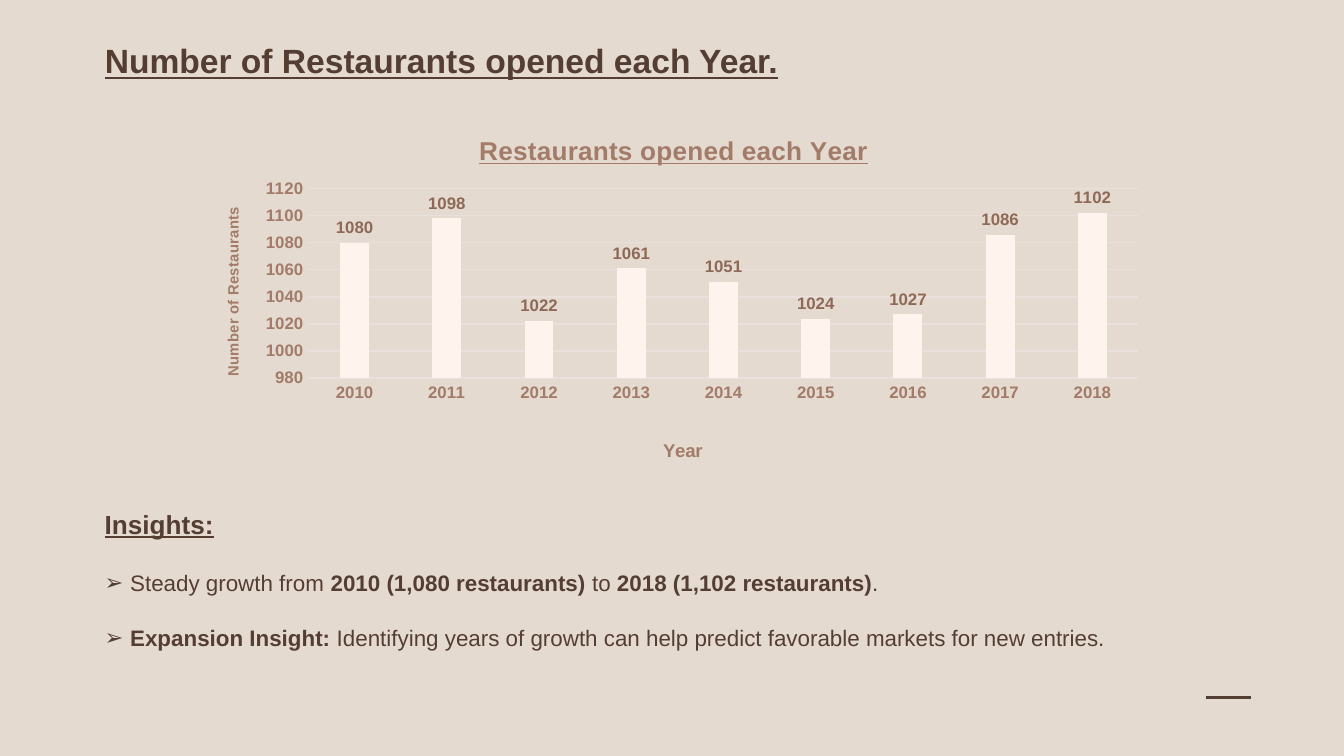
from lxml.etree import SubElement
from pptx import Presentation
from pptx.chart.data import CategoryChartData
from pptx.dml.color import RGBColor
from pptx.enum.chart import XL_CHART_TYPE, XL_LABEL_POSITION, XL_TICK_MARK
from pptx.enum.shapes import MSO_CONNECTOR
from pptx.enum.text import MSO_ANCHOR, PP_ALIGN
from pptx.oxml import parse_xml
from pptx.oxml.ns import nsdecls, qn
from pptx.util import Inches, Pt

WIDE = 10
HIGH = WIDE * 9 / 16
LEFT = 0.68
SAND, DARK, CLAY, RUST, CREAM, PALE = (
    "E5DACF", "543E34", "A27B69", "8E6958", "FEF3ED", "EAE0DC")
COUNTS = {2010: 1080, 2011: 1098, 2012: 1022, 2013: 1061, 2014: 1051,
          2015: 1024, 2016: 1027, 2017: 1086, 2018: 1102}
# Each point is a list of (text, bold) runs.
POINTS = [
    [("Steady growth from ", False), ("2010 (1,080 restaurants)", True),
     (" to ", False), ("2018 (1,102 restaurants)", True), (".", False)],
    [("Expansion Insight:", True),
     (" Identifying years of growth can help predict favorable markets"
      " for new entries.", False)],
]


def paint(color, code):
    color.rgb = RGBColor.from_string(code)


def fill(part, code):
    part.fill.solid()
    paint(part.fill.fore_color, code)


def stroke(line, code, width):
    paint(line.color, code)
    line.width = Pt(width)


def style(font, size, code=DARK, bold=None, under=None):
    font.name, font.size = "Arial", Pt(size)
    font.bold, font.underline = bold, under
    paint(font.color, code)


def place(host, index, inner=False, **shares):
    """Fix a chart part at shares of the chart's size."""
    for old in host.findall(qn("c:layout")):
        host.remove(old)
    layout = parse_xml(f"<c:layout {nsdecls('c')}><c:manualLayout/></c:layout>")
    marks = [("layoutTarget", "inner")] if inner else []
    marks += [("xMode", "edge"), ("yMode", "edge"), *shares.items()]
    for tag, value in marks:
        SubElement(layout[0], qn(f"c:{tag}")).set("val", str(value))
    host.insert(index, layout)


def add_name(title, text, size, x, y, under=None):
    """Write and place the title of a chart or axis."""
    frame = title.text_frame
    frame.text = text
    style(frame.paragraphs[0].font, size, CLAY, True, under)
    place(title._element, 1, x=x, y=y)


def add_title(slide, box):
    title = slide.shapes.title
    title.left, title.top, title.width, title.height = map(Inches, box)
    frame = title.text_frame
    frame.text = "Number of Restaurants opened each Year."
    frame.vertical_anchor = MSO_ANCHOR.TOP
    line = frame.paragraphs[0]
    line.alignment = PP_ALIGN.LEFT
    style(line.font, 18, bold=True, under=True)


def add_columns(slide, box):
    data = CategoryChartData()
    data.categories = [str(year) for year in COUNTS]
    data.add_series("Series 1", COUNTS.values())
    chart = slide.shapes.add_chart(
        XL_CHART_TYPE.COLUMN_CLUSTERED, *map(Inches, box), data).chart
    style(chart.font, 10)
    chart.has_legend = False
    add_name(chart.chart_title, "Restaurants opened each Year", 14,
             0.29, 0.04, under=True)
    place(chart._chartSpace.chart.plotArea, 0, inner=True,
          x=0.117, y=0.21, w=0.865, h=0.545)

    plot = chart.plots[0]
    plot.gap_width, plot.overlap = 219, -27
    plot.vary_by_categories = False
    fill(plot.series[0].format, CREAM)
    plot.has_data_labels = True
    labels = plot.data_labels
    labels.show_value = True
    labels.position = XL_LABEL_POSITION.OUTSIDE_END
    style(labels.font, 9, RUST, True)

    years, counts = chart.category_axis, chart.value_axis
    for axis in (years, counts):
        axis.major_tick_mark = axis.minor_tick_mark = XL_TICK_MARK.NONE
        style(axis.tick_labels.font, 9, CLAY, True)
    add_name(years.axis_title, "Year", 10, 0.483, 0.92)
    add_name(counts.axis_title, "Number of Restaurants", 8, 0.025, 0.26)
    stroke(years.format.line, PALE, 0.75)
    counts.format.line.fill.background()
    stroke(counts.major_gridlines.format.line, PALE, 0.75)
    counts.minimum_scale, counts.maximum_scale = 980, 1120
    counts.major_unit = 20


def add_notes(slide, box):
    """Write the insights heading and its bulleted points."""
    frame = slide.shapes.add_textbox(*map(Inches, box)).text_frame
    frame.word_wrap = True
    head = frame.paragraphs[0]
    head.text = "Insights:"
    style(head.font, 14, bold=True, under=True)
    for point, gap in zip(POINTS, (16, 15)):
        line = frame.add_paragraph()
        line.space_before = Pt(gap)
        style(line.font, 12)
        for text, bold in point:
            run = line.add_run()
            run.text, run.font.bold = text, bold
        props = line._p.get_or_add_pPr()
        props.set("marL", str(Inches(0.19)))
        props.set("indent", str(Inches(-0.19)))
        for mark in ('buFont {} typeface="Arial"', 'buChar {} char="➢"'):
            bullet = parse_xml(f"<a:{mark.format(nsdecls('a'))}/>")
            props.find(qn("a:defRPr")).addprevious(bullet)


def add_dash(slide, left, top, width):
    dash = slide.shapes.add_connector(
        MSO_CONNECTOR.STRAIGHT, *map(Inches, (left, top, left + width, top)))
    stroke(dash.line, DARK, 1.25)
    SubElement(dash._element.spPr, qn("a:effectLst"))


def main():
    deck = Presentation()
    deck.slide_width, deck.slide_height = Inches(WIDE), Inches(HIGH)
    slide = deck.slides.add_slide(deck.slide_layouts[5])
    fill(slide.background, SAND)
    add_dash(slide, 8.97, 5.19, 0.34)
    add_title(slide, (LEFT, 0.25, 6.58, 0.4))
    add_columns(slide, (1.46, 0.86, 7.14, 2.62))
    add_notes(slide, (LEFT, 3.73, 7.95, 1.45))
    deck.save("out.pptx")


if __name__ == "__main__":
    main()
